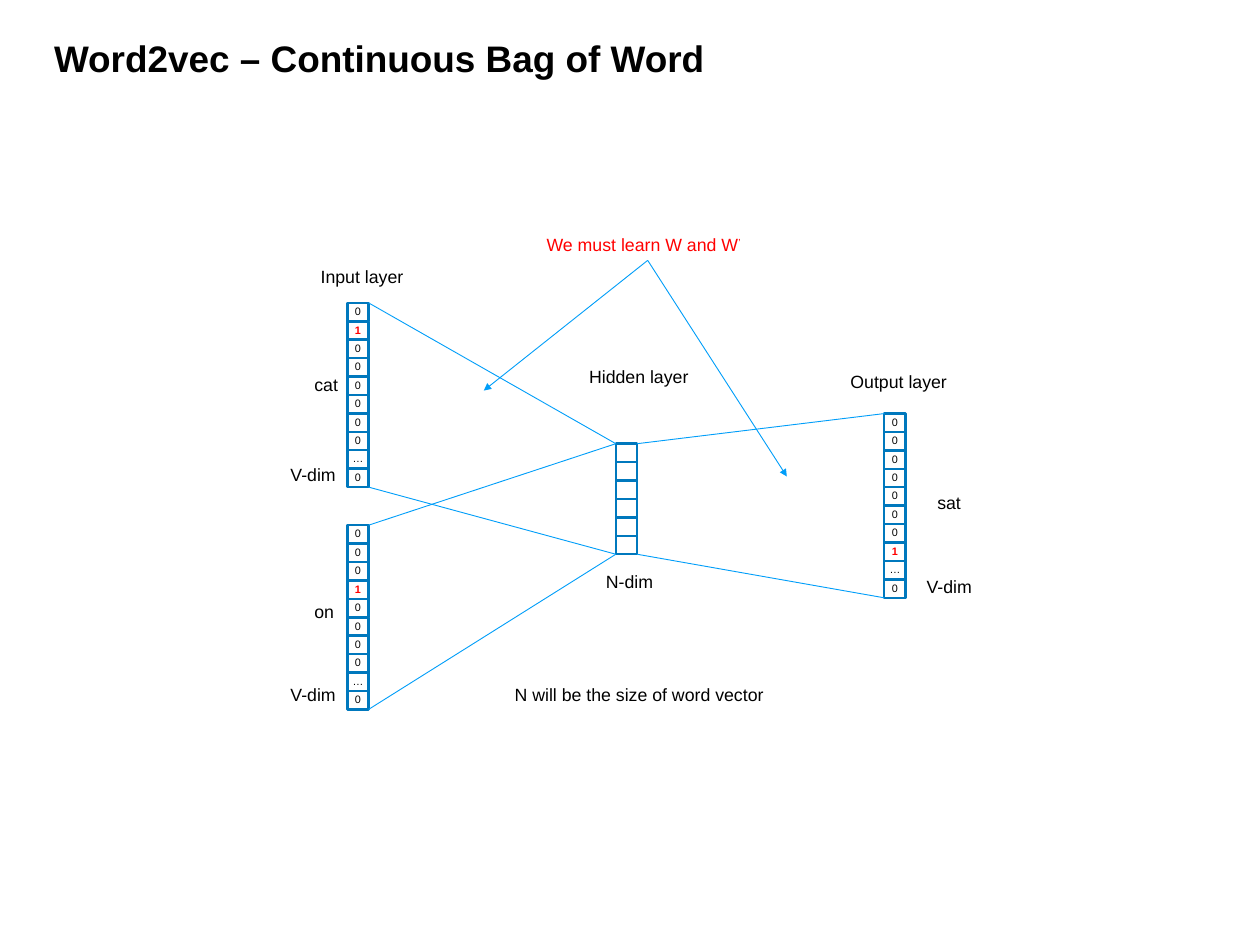
from dataclasses import dataclass

from lxml.etree import SubElement
from pptx import Presentation
from pptx.dml.color import RGBColor
from pptx.enum.shapes import MSO_CONNECTOR as Connector, MSO_SHAPE as Shape
from pptx.enum.text import MSO_ANCHOR as Anchor, MSO_AUTO_SIZE as AutoSize, PP_ALIGN as Align
from pptx.oxml.ns import qn
from pptx.util import Inches, Pt


@dataclass(frozen=True)
class Theme:
    font: str = "Arial"
    text: RGBColor = RGBColor(0x00, 0x00, 0x00)
    accent: RGBColor = RGBColor(0xFF, 0x00, 0x00)
    cell_line: RGBColor = RGBColor(0x00, 0x78, 0xBD)
    link_line: RGBColor = RGBColor(0x00, 0x9E, 0xF9)
    title_size: float = 30
    label_size: float = 14.4
    cell_size: float = 8.8
    line_spacing: float = 0.9
    cell_line_width: float = 2
    link_line_width: float = 0.75


@dataclass(frozen=True)
class Box:
    left: float
    top: float
    width: float
    height: float

    @property
    def right(self):
        return self.left + self.width

    @property
    def bottom(self):
        return self.top + self.height

    def inches(self):
        return [Inches(value) for value in (self.left, self.top, self.width, self.height)]


THEME = Theme()
CELL_WIDTH, CELL_HEIGHT = 0.24, 0.208
LABEL_HEIGHT = 0.32


def set_attributes(target, values):
    for name, value in values.items():
        setattr(target, name, value)


def write_text(shape, text, size, color=THEME.text, bold=False, align=Align.LEFT, **frame_format):
    frame = shape.text_frame
    set_attributes(frame, frame_format)
    paragraph = frame.paragraphs[0]
    set_attributes(paragraph, {"alignment": align, "line_spacing": THEME.line_spacing,
                               "space_before": Pt(0)})
    run = paragraph.add_run()
    run.text = text
    style_run(run, size, color, bold)
    return paragraph


def style_run(run, size, color, bold=False):
    set_attributes(run.font, {"name": THEME.font, "size": Pt(size), "bold": bold})
    run.font.color.rgb = color


def add_label(slide, text, box, color=THEME.text):
    shape = slide.shapes.add_textbox(*box.inches())
    return write_text(shape, text, THEME.label_size, color,
                      word_wrap=False, auto_size=AutoSize.SHAPE_TO_FIT_TEXT)


def add_link(slide, start, end, arrow=False):
    points = [Inches(value) for value in (*start, *end)]
    connector = slide.shapes.add_connector(Connector.STRAIGHT, *points)
    connector.line.color.rgb = THEME.link_line
    connector.line.width = Pt(THEME.link_line_width)
    if arrow:
        SubElement(connector.line._get_or_add_ln(), qn("a:tailEnd"), type="triangle")
    SubElement(connector._element.spPr, qn("a:effectLst"))


def add_vector(slide, left, top, values):
    """Stack one cell per value and return the box of the whole column."""
    group = slide.shapes.add_group_shape()
    for row, value in enumerate(values):
        cell_box = Box(left, top + row * CELL_HEIGHT, CELL_WIDTH, CELL_HEIGHT)
        cell = group.shapes.add_shape(Shape.RECTANGLE, *cell_box.inches())
        cell.shadow.inherit = False
        cell.fill.background()
        cell.line.color.rgb = THEME.cell_line
        cell.line.width = Pt(THEME.cell_line_width)
        if value:
            hot = value == "1"
            write_text(cell, value, THEME.cell_size, THEME.accent if hot else THEME.text,
                       hot, Align.CENTER, word_wrap=False, vertical_anchor=Anchor.MIDDLE,
                       margin_left=0, margin_top=0, margin_right=0, margin_bottom=0)
    return Box(left, top, CELL_WIDTH, len(values) * CELL_HEIGHT)


def add_title(slide, box):
    title = slide.shapes.title
    set_attributes(title, dict(zip(("left", "top", "width", "height"), box.inches())))
    write_text(title, "Word2vec – Continuous Bag of Word", THEME.title_size, bold=True,
               word_wrap=True, auto_size=AutoSize.SHAPE_TO_FIT_TEXT, vertical_anchor=Anchor.TOP)


def add_network(slide, box):
    def at(x, y):
        return box.left + x, box.top + y

    # Layers
    cat = add_vector(slide, *at(0.74, 0.8), "01000000…0")
    on = add_vector(slide, *at(0.74, 3.31), "00010000…0")
    hidden = add_vector(slide, *at(3.77, 2.39), [""] * 6)
    output = add_vector(slide, *at(6.8, 2.05), "00000001…0")

    # Links between the corners of neighbouring layers
    for source, target in ((cat, hidden), (on, hidden), (hidden, output)):
        add_link(slide, (source.right, source.top), (target.left, target.top))
        add_link(slide, (source.right, source.bottom), (target.left, target.bottom))

    # Labels: text, x, y, width
    labels = (
        ("Input layer", 0.34, 0.36, 1.15),
        ("cat", 0.27, 1.58, 0.47),
        ("V-dim", 0, 2.6, 0.73),
        ("on", 0.27, 4.14, 0.43),
        ("V-dim", 0, 5.08, 0.73),
        ("Hidden layer", 3.37, 1.49, 1.34),
        ("N-dim", 3.56, 3.8, 0.74),
        ("Output layer", 6.32, 1.54, 1.3),
        ("sat", 7.3, 2.91, 0.47),
        ("V-dim", 7.18, 3.86, 0.73),
        ("N will be the size of word vector", 2.53, 5.08, 3.04),
    )
    for text, x, y, width in labels:
        add_label(slide, text, Box(*at(x, y), width, LABEL_HEIGHT))

    # Note on the two weight matrices
    note = add_label(slide, "We must learn W and W", Box(*at(2.89, 0), 2.48, LABEL_HEIGHT),
                     THEME.accent)
    prime = note.add_run()
    prime.text = "’"
    style_run(prime, THEME.label_size, THEME.accent)
    prime.font._element.set("baseline", "30000")
    for target in (at(2.28, 1.79), at(5.7, 2.76)):
        add_link(slide, at(4.13, LABEL_HEIGHT), target, arrow=True)


def main():
    presentation = Presentation()
    presentation.slide_width = Inches(14.22)
    presentation.slide_height = Inches(10.67)
    slide = presentation.slides.add_slide(presentation.slide_layouts[5])
    add_title(slide, Box(0.51, 0.41, 8.91, 0.56))
    add_network(slide, Box(3.18, 2.62, 7.91, 5.4))
    presentation.save("out.pptx")


if __name__ == "__main__":
    main()
